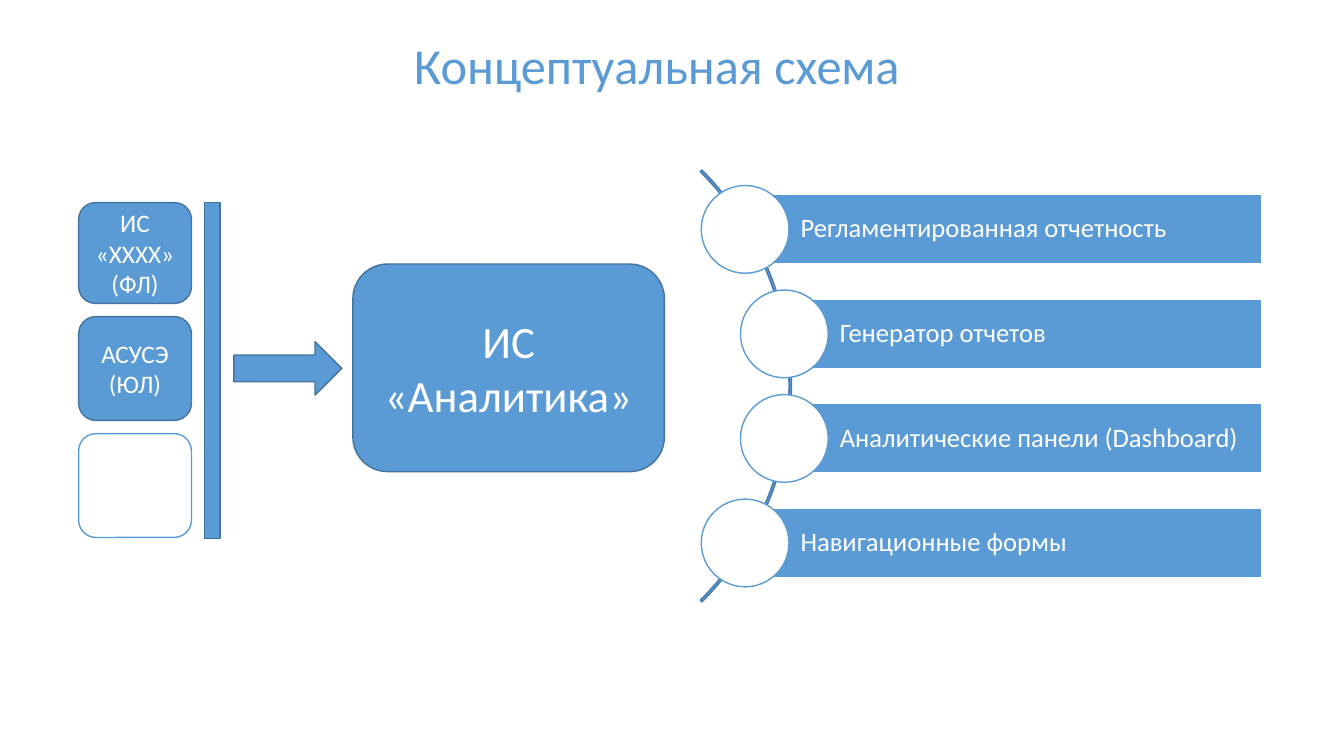
"""Build the concept diagram slide: data sources, analytics system, four outputs."""
from pptx import Presentation
from pptx.dml.color import RGBColor
from pptx.enum.shapes import MSO_SHAPE as Kind
from pptx.enum.text import MSO_ANCHOR as Anchor, PP_ALIGN as Align
from pptx.util import Inches, Pt

BLUE = RGBColor(0x5B, 0x9B, 0xD5)
EDGE = RGBColor(0x43, 0x73, 0x9E)
RIM = RGBColor(0x49, 0x7C, 0xAB)
WHITE = RGBColor(0xFF, 0xFF, 0xFF)

deck = Presentation()
deck.slide_width, deck.slide_height = Inches(13.33), Inches(7.5)
cell = deck.slide_width / 100
slide = deck.slides.add_slide(deck.slide_layouts[5])


def write(shape, text, size, color=WHITE, align=Align.CENTER, **frame):
    """Put one formatted paragraph into a shape."""
    body = shape.text_frame
    body.text = text
    for key, val in {"word_wrap": True, "vertical_anchor": Anchor.MIDDLE, **frame}.items():
        setattr(body, key, val)
    para = body.paragraphs[0]
    para.alignment = align
    for key, val in {"name": "Calibri", "size": Pt(size)}.items():
        setattr(para.font, key, val)
    para.font.color.rgb = color


def draw(kind, col, row, wide, high, fill=BLUE, line=EDGE):
    """Add a shape placed in grid cells."""
    shape = slide.shapes.add_shape(kind, *(round(n * cell) for n in (col, row, wide, high)))
    shape.shadow.inherit = False
    shape.fill.solid()
    shape.fill.fore_color.rgb = fill
    shape.line.color.rgb = line
    shape.line.width = Pt(1)
    return shape


title = slide.shapes.title
spot = {"left": 24.01, "top": 2.18, "width": 49.74, "height": 5.33}
for key, val in spot.items():
    setattr(title, key, round(val * cell))
write(title, "Концептуальная схема", 36, BLUE, vertical_anchor=Anchor.TOP)

top = 15.08
for text, high, fill, line in [
    ("ИС «XXXX» (ФЛ)", 7.5, BLUE, EDGE),
    ("АСУСЭ (ЮЛ)", 7.73, BLUE, EDGE),
    ("", 7.73, WHITE, BLUE),
]:
    box = draw(Kind.ROUNDED_RECTANGLE, 5.85, top, 8.4, high, fill, line)
    if text:
        write(box, text, 18)
    top += high + 0.98

draw(Kind.RECTANGLE, 15.23, 15.08, 1.13, 24.98)
draw(Kind.RIGHT_ARROW, 17.4, 25.43, 8.03, 3.98)
hub = draw(Kind.ROUNDED_RECTANGLE, 26.26, 19.65, 23.18, 15.45)
write(hub, "ИС «Аналитика»", 32)

arc = draw(Kind.BLOCK_ARC, 13.43, 6, 45.46, 45.46, line=RIM)
for spot, val in enumerate((189, 27, 0.004)):
    arc.adjustments[spot] = val

right, high, ring = 93.89, 5.18, 6.53
outputs = [
    ("Регламентированная отчетность", 55.44),
    ("Генератор отчетов", 58.36),
    ("Аналитические панели (Dashboard)", 58.36),
    ("Навигационные формы", 55.44),
]
for step, (text, left) in enumerate(outputs):
    row = 14.48 + step * 7.78
    bar = draw(Kind.RECTANGLE, left, row, right - left, high, line=WHITE)
    write(bar, text, 19, align=Align.LEFT, margin_left=Inches(0.55), margin_right=Inches(0.05))
    bar.text_frame.paragraphs[0].line_spacing = 0.9
    draw(Kind.OVAL, left - ring / 2, row + (high - ring) / 2, ring, ring, WHITE, BLUE)

deck.save("out.pptx")
